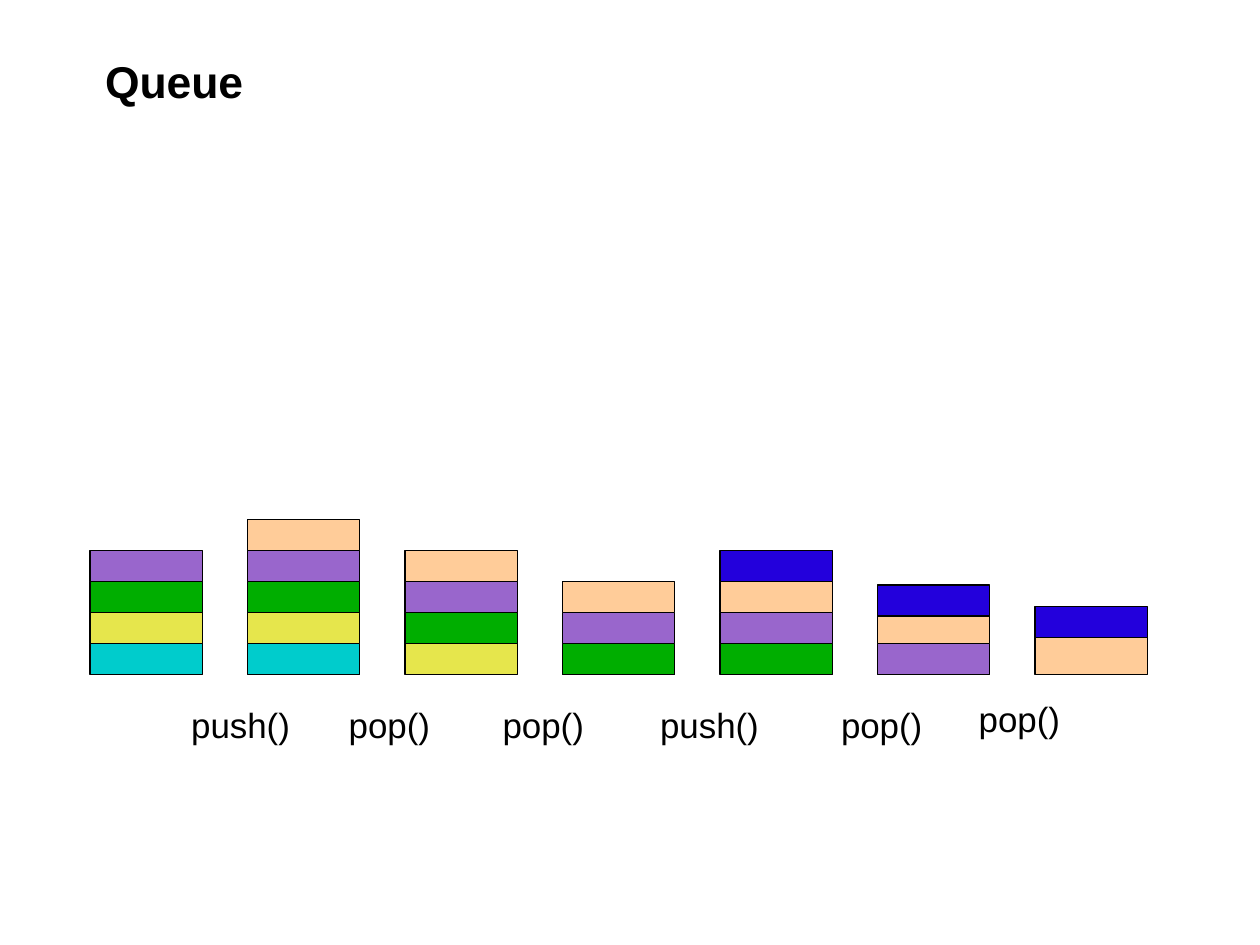
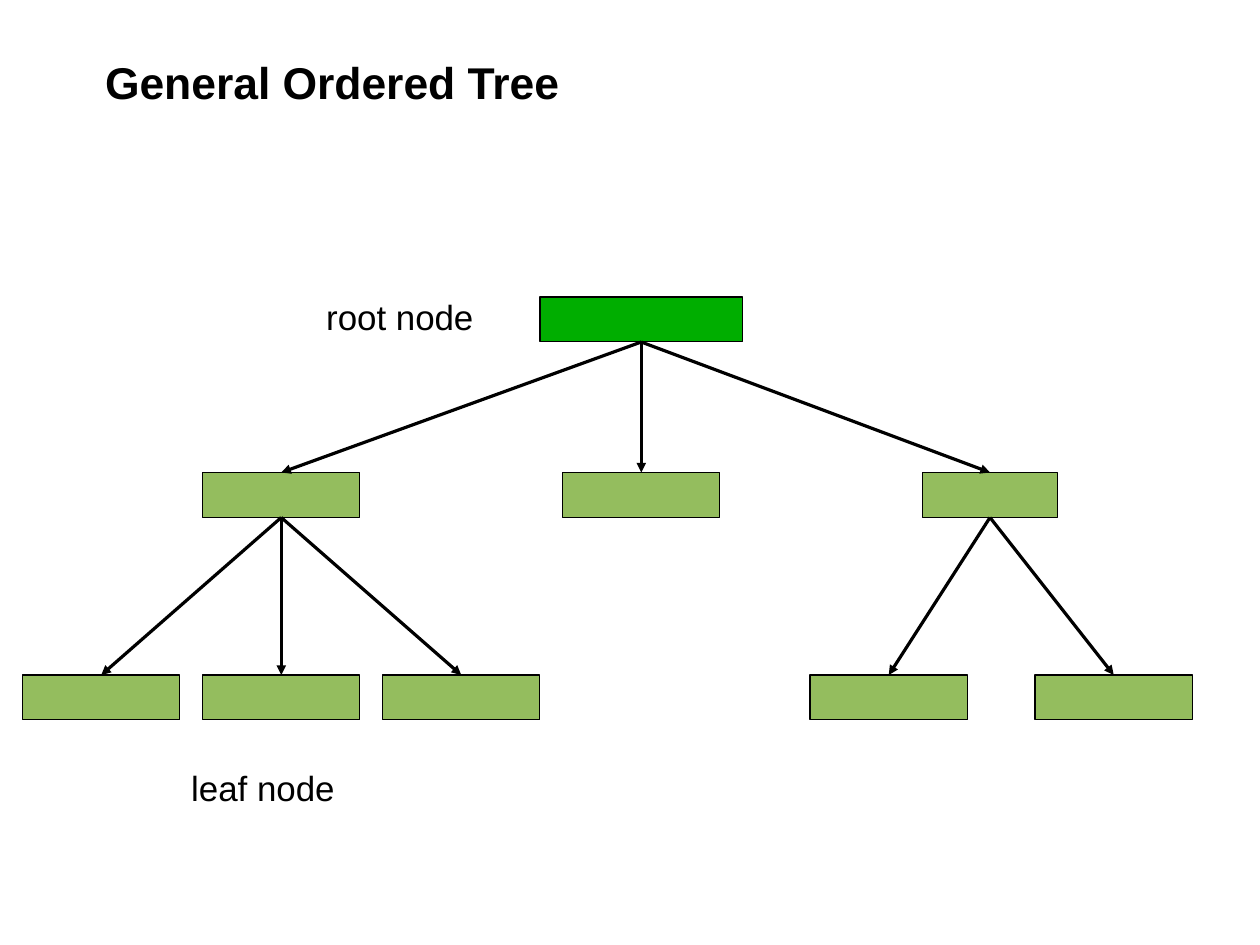
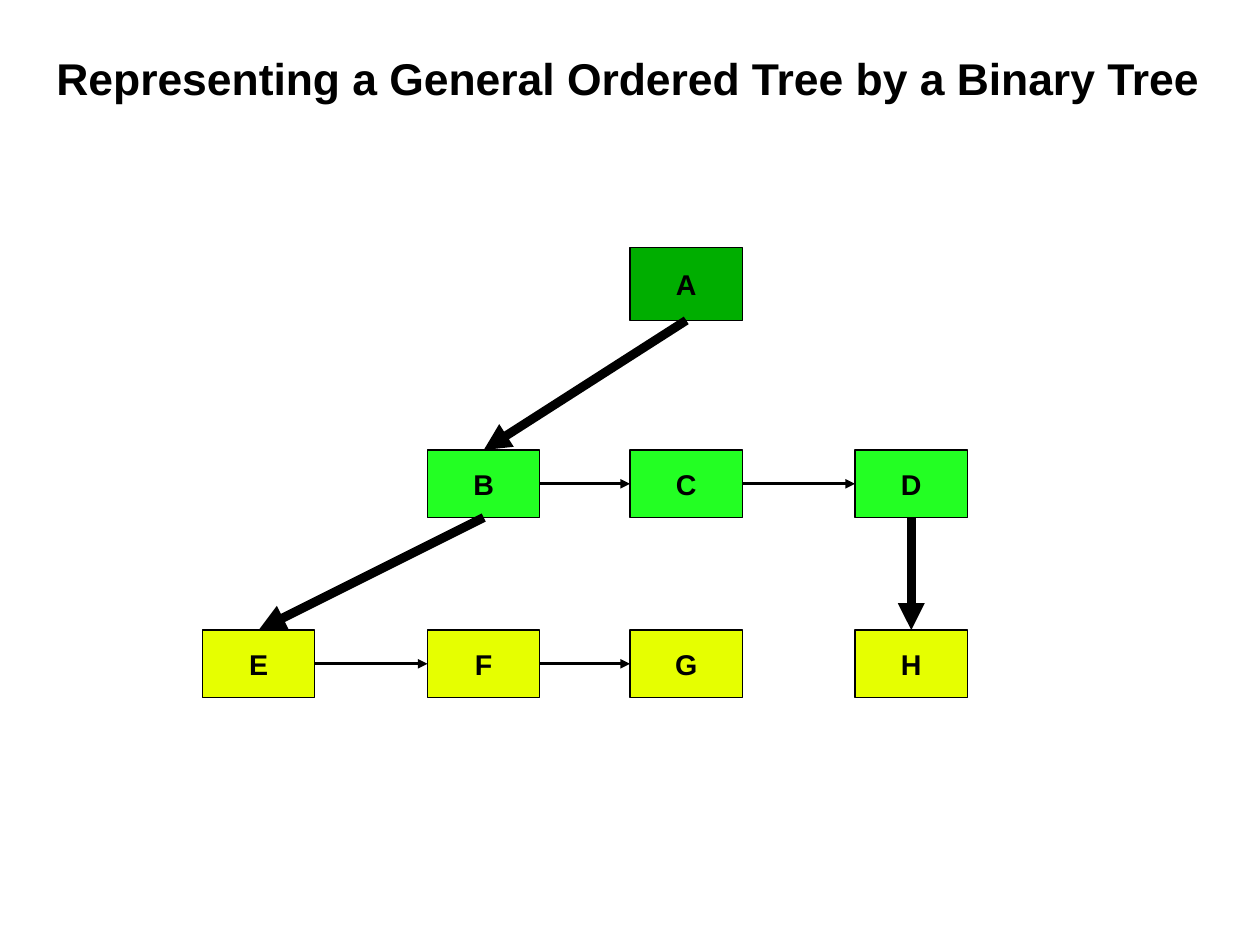
"""Build three slides on queues and trees."""
from dataclasses import dataclass

from lxml import etree
from pptx import Presentation
from pptx.dml.color import RGBColor
from pptx.enum.shapes import MSO_CONNECTOR, MSO_SHAPE
from pptx.enum.text import MSO_ANCHOR, MSO_AUTO_SIZE, PP_ALIGN
from pptx.oxml.ns import qn
from pptx.util import Cm, Pt

RECTANGLE = MSO_SHAPE.RECTANGLE
STRAIGHT = MSO_CONNECTOR.STRAIGHT
LEFT, CENTER = PP_ALIGN.LEFT, PP_ALIGN.CENTER
TOP, MIDDLE = MSO_ANCHOR.TOP, MSO_ANCHOR.MIDDLE
NO_FIT = MSO_AUTO_SIZE.NONE
TITLE_ONLY = 5
SITE_TOP, SITE_LEFT, SITE_BOTTOM, SITE_RIGHT = range(4)


@dataclass(frozen=True)
class Theme:
    font: str = "Arial"
    title_size: float = 28
    label_size: float = 22
    node_size: float = 18
    hairline: float = 0
    thick_line: float = 5.67
    black: str = "000000"
    green: str = "00AE00"
    yellow: str = "E6E64C"
    cyan: str = "00CCCC"
    purple: str = "9966CC"
    peach: str = "FFCC99"
    blue: str = "2300DC"
    olive: str = "94BD5E"
    lime: str = "23FF23"
    lemon: str = "E6FF00"


THEME = Theme()
deck = Presentation()
deck.slide_width, deck.slide_height = Cm(28), Cm(21)


def write_text(frame, text, size, bold=False, align=LEFT, anchor=TOP):
    frame.word_wrap = True
    frame.auto_size = NO_FIT
    frame.vertical_anchor = anchor
    paragraph = frame.paragraphs[0]
    paragraph.alignment = align
    run = paragraph.add_run()
    run.text = text
    run.font.name = THEME.font
    run.font.size = Pt(size)
    run.font.bold = bold
    run.font.color.rgb = RGBColor.from_string(THEME.black)


BLOCK_WIDTH, BLOCK_HEIGHT, QUEUE_PITCH, QUEUE_BOTTOM = 2.5, 0.69, 3.5, 15
queue_states = [
    [THEME.cyan, THEME.yellow, THEME.green, THEME.purple],
    [THEME.cyan, THEME.yellow, THEME.green, THEME.purple, THEME.peach],
    [THEME.yellow, THEME.green, THEME.purple, THEME.peach],
    [THEME.green, THEME.purple, THEME.peach],
    [THEME.green, THEME.purple, THEME.peach, THEME.blue],
    [THEME.purple, THEME.peach],
]
queue_blocks = {
    (state, level): (2 + state * QUEUE_PITCH, QUEUE_BOTTOM - (level + 1) * BLOCK_HEIGHT,
                     BLOCK_WIDTH, BLOCK_HEIGHT, fill, "")
    for state, fills in enumerate(queue_states)
    for level, fill in enumerate(fills)
}
queue_blocks["late blue"] = (19.5, 13, BLOCK_WIDTH, BLOCK_HEIGHT, THEME.blue, "")
queue_blocks["last peach"] = (23, 14, BLOCK_WIDTH, 1, THEME.peach, "")
queue_blocks["last blue"] = (23, 13.48, BLOCK_WIDTH, BLOCK_HEIGHT, THEME.blue, "")
queue_labels = [
    ("push()", 4, 15.5, 3.07), ("pop()", 7.5, 15.5, 2.57), ("pop()", 10.92, 15.5, 2.57),
    ("push()", 14.42, 15.5, 3.07), ("pop()", 18.44, 15.5, 2.57), ("pop()", 21.5, 15.38, 2.57),
]

tree_nodes = {"root": (12, 6.6, 4.5, 1, THEME.green, "")}
for name, left, top, width in [
    ("left", 4.5, 10.5, 3.5), ("middle", 12.5, 10.5, 3.5), ("right", 20.5, 10.5, 3),
    ("leaf 1", 0.5, 15, 3.5), ("leaf 2", 4.5, 15, 3.5), ("leaf 3", 8.5, 15, 3.5),
    ("leaf 4", 18, 15, 3.5), ("leaf 5", 23, 15, 3.5),
]:
    tree_nodes[name] = (left, top, width, 1, THEME.olive, "")
children = {
    "root": ["left", "middle", "right"],
    "left": ["leaf 1", "leaf 2", "leaf 3"],
    "right": ["leaf 4", "leaf 5"],
}
tree_arrows = [(parent, SITE_BOTTOM, child, SITE_TOP, THEME.hairline)
               for parent, below in children.items() for child in below]
tree_labels = [("root node", 7, 6.45, 4.07), ("leaf node", 4, 16.9, 4.5)]

column_lefts = [4.5, 9.5, 14, 19]
binary_rows = [
    ("  A ", 5.5, 1.62, THEME.green),
    (" BCD", 10, 1.5, THEME.lime),
    ("EFGH", 14, 1.5, THEME.lemon),
]
binary_nodes = {
    letter: (left, top, 2.5, height, fill, letter)
    for letters, top, height, fill in binary_rows
    for letter, left in zip(letters, column_lefts) if letter != " "
}
binary_arrows = [(parent, SITE_BOTTOM, child, SITE_TOP, THEME.thick_line)
                 for parent, child in ["AB", "BE", "DH"]]
binary_arrows += [(node, SITE_RIGHT, sibling, SITE_LEFT, THEME.hairline)
                  for node, sibling in ["BC", "CD", "EF", "FG"]]

pages = [
    ("Queue", 2.08, 1.07, queue_blocks, queue_labels, []),
    ("General Ordered Tree", 2.08, 1.09, tree_nodes, tree_labels, tree_arrows),
    ("Representing a General Ordered Tree by a Binary Tree", 1, 1,
     binary_nodes, [], binary_arrows),
]

for heading, title_left, title_top, boxes, labels, arrows in pages:
    slide = deck.slides.add_slide(deck.slide_layouts[TITLE_ONLY])
    title = slide.shapes.title
    title.left, title.top = Cm(title_left), Cm(title_top)
    title.width, title.height = Cm(27.5 - title_left), Cm(1.35)
    write_text(title.text_frame, heading, THEME.title_size, bold=True)

    drawn = {}
    for name, (left, top, width, height, fill, letter) in boxes.items():
        box = slide.shapes.add_shape(RECTANGLE, Cm(left), Cm(top), Cm(width), Cm(height))
        box.shadow.inherit = False
        box.fill.solid()
        box.fill.fore_color.rgb = RGBColor.from_string(fill)
        box.line.color.rgb = RGBColor.from_string(THEME.black)
        box.line.width = Pt(THEME.hairline)
        if letter:
            write_text(box.text_frame, letter, THEME.node_size, True, CENTER, MIDDLE)
        drawn[name] = box

    for caption, left, top, width in labels:
        label = slide.shapes.add_textbox(Cm(left), Cm(top), Cm(width), Cm(1.12))
        write_text(label.text_frame, caption, THEME.label_size)

    for start, start_site, end, end_site, weight in arrows:
        arrow = slide.shapes.add_connector(STRAIGHT, 0, 0, 0, 0)
        arrow.begin_connect(drawn[start], start_site)
        arrow.end_connect(drawn[end], end_site)
        arrow.line.color.rgb = RGBColor.from_string(THEME.black)
        arrow.line.width = Pt(weight)
        properties = arrow._element.spPr
        etree.SubElement(properties.find(qn("a:ln")), qn("a:tailEnd"), type="triangle")
        etree.SubElement(properties, qn("a:effectLst"))

deck.save("out.pptx")
